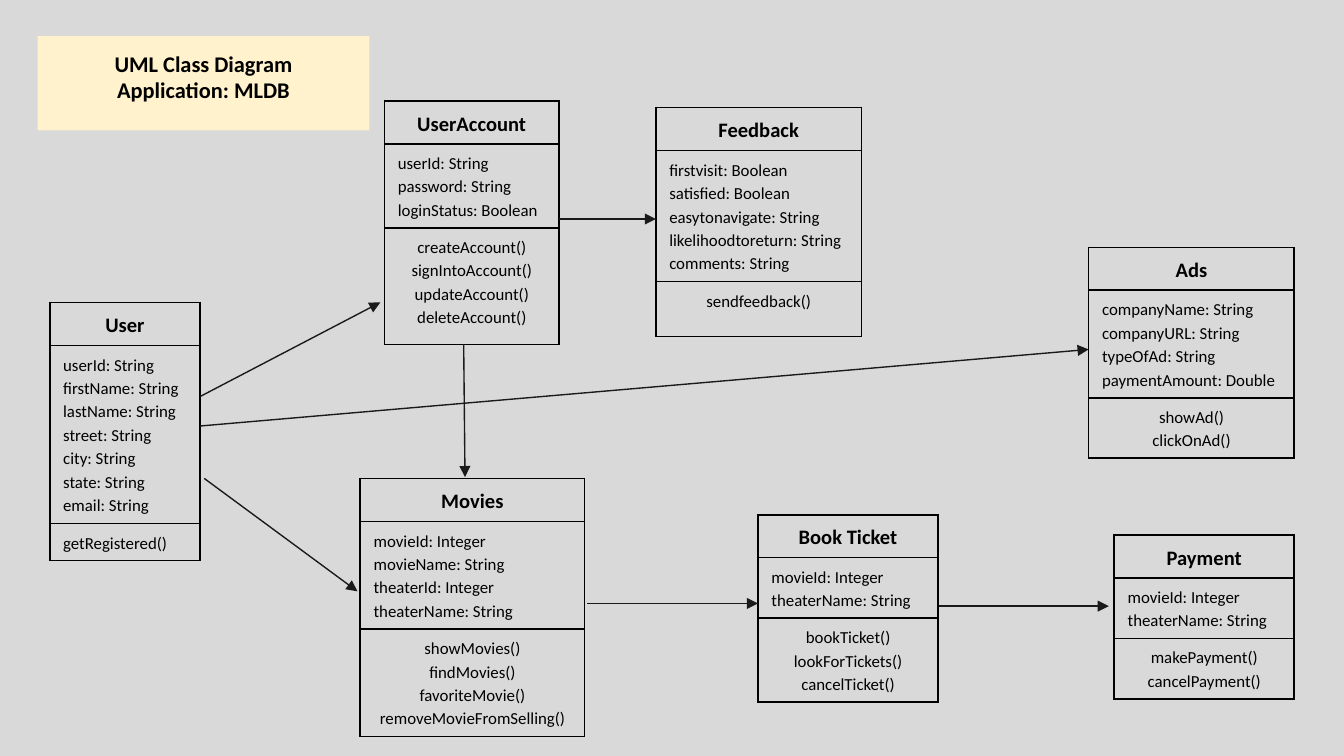
"""Build a UML class diagram slide for a movie booking application."""
from dataclasses import dataclass

from lxml.etree import SubElement
from pptx import Presentation
from pptx.dml.color import RGBColor as Rgb
from pptx.enum.shapes import MSO_CONNECTOR as Connector, MSO_SHAPE as Shape
from pptx.enum.text import MSO_ANCHOR as Anchor, PP_ALIGN as Align
from pptx.oxml import parse_xml
from pptx.oxml.ns import nsdecls, qn
from pptx.util import Inches, Pt


@dataclass(frozen=True)
class Theme:
    font: str = "Calibri"
    background: str = "D9D9D9"
    banner: str = "FFF2CC"
    ink: str = "000000"
    arrow: str = "1A1A1A"
    title_size: float = 12
    name_size: float = 11
    member_size: float = 9
    border: float = 1
    arrow_width: float = 0.75
    spacing: float = 1.15


THEME = Theme()
COLUMNS = 1000
NAME_ROWS, MEMBER_ROWS, PADDING_ROWS = 32, 17.5, 10

TITLE = ["UML Class Diagram", "Application: MLDB"]
TITLE_AREA = (28, 27, 247, 70)

CLASSES = [
    dict(name="UserAccount", at=(286, 75), width=130, least=87,
         attributes=["userId: String", "password: String", "loginStatus: Boolean"],
         operations=["createAccount()", "signIntoAccount()", "updateAccount()",
                     "deleteAccount()"]),
    dict(name="Movies", at=(268, 356), width=167,
         attributes=["movieId: Integer", "movieName: String", "theaterId: Integer",
                     "theaterName: String"],
         operations=["showMovies()", "findMovies()", "favoriteMovie()",
                     "removeMovieFromSelling()"]),
    dict(name="User", at=(37, 225), width=112, align=Align.LEFT,
         attributes=["userId: String", "firstName: String", "lastName: String",
                     "street: String", "city: String", "state: String", "email: String"],
         operations=["getRegistered()"]),
    dict(name="Book Ticket", at=(564, 383), width=134,
         attributes=["movieId: Integer", "theaterName: String"],
         operations=["bookTicket()", "lookForTickets()", "cancelTicket()"]),
    dict(name="Payment", at=(829, 398), width=134,
         attributes=["movieId: Integer", "theaterName: String"],
         operations=["makePayment()", "cancelPayment()"]),
    dict(name="Feedback", at=(488, 80), width=153, least=41,
         attributes=["firstvisit: Boolean", "satisfied: Boolean", "easytonavigate: String",
                     "likelihoodtoreturn: String", "comments: String"],
         operations=["sendfeedback()"]),
    dict(name="Ads", at=(810, 184), width=153,
         attributes=["companyName: String", "companyURL: String", "typeOfAd: String",
                     "paymentAmount: Double"],
         operations=["showAd()", "clickOnAd()"]),
]

ASSOCIATIONS = [
    ((345, 256), (346, 355)),
    ((149, 295), (283, 225)),
    ((152, 356), (266, 440)),
    ((437, 449), (564, 449)),
    ((699, 451), (825, 451)),
    ((416, 163), (488, 163)),
    ((149, 317), (810, 260)),
]

deck = Presentation()
deck.slide_width = Inches(10)
deck.slide_height = deck.slide_width * 9 // 16
slide = deck.slides.add_slide(deck.slide_layouts[6])
slide.background.fill.solid()
slide.background.fill.fore_color.rgb = Rgb.from_string(THEME.background)


def grid(*steps):
    return [round(deck.slide_width * step / COLUMNS) for step in steps]


def write(frame, lines, size, align, bold=False, spacing=None):
    frame.text = "\n".join(lines)
    for paragraph in frame.paragraphs:
        paragraph.alignment, paragraph.line_spacing = align, spacing
        font = paragraph.font
        font.name, font.size, font.bold = THEME.font, Pt(size), bold
        font.color.rgb = Rgb.from_string(THEME.ink)


def outline(cell):
    properties = cell._tc.get_or_add_tcPr()
    for order, side in enumerate(("lnL", "lnR", "lnT", "lnB")):
        properties.insert(order, parse_xml(
            f'<a:{side} {nsdecls("a")} w="{Pt(THEME.border)}"><a:solidFill>'
            f'<a:srgbClr val="{THEME.ink}"/></a:solidFill></a:{side}>'))


def add_title():
    banner = slide.shapes.add_shape(Shape.RECTANGLE, *grid(*TITLE_AREA))
    banner.shadow.inherit = False
    banner.fill.solid()
    banner.fill.fore_color.rgb = Rgb.from_string(THEME.banner)
    banner.line.fill.background()
    frame = banner.text_frame
    frame.vertical_anchor = Anchor.TOP
    frame.margin_top = frame.margin_bottom = Inches(0.1)
    write(frame, TITLE, THEME.title_size, Align.CENTER, bold=True)


def add_class(name, at, width, attributes, operations, least=0, align=Align.CENTER):
    sections = [
        ([name], THEME.name_size, Align.CENTER, True),
        (attributes, THEME.member_size, Align.LEFT, False),
        (operations, THEME.member_size, align, False),
    ]
    heights = [NAME_ROWS, PADDING_ROWS + MEMBER_ROWS * len(attributes),
               max(least, PADDING_ROWS + MEMBER_ROWS * len(operations))]
    table = slide.shapes.add_table(len(sections), 1, *grid(*at, width, sum(heights))).table
    table.first_row = table.horz_banding = False
    for row, height, section in zip(table.rows, grid(*heights), sections):
        row.height = height
        cell = row.cells[0]
        cell.fill.background()
        outline(cell)
        write(cell.text_frame, *section, spacing=THEME.spacing)


def add_association(start, end):
    arrow = slide.shapes.add_connector(Connector.STRAIGHT, *grid(*start, *end))
    arrow.line.color.rgb = Rgb.from_string(THEME.arrow)
    arrow.line.width = Pt(THEME.arrow_width)
    SubElement(arrow.line._get_or_add_ln(), qn("a:tailEnd"), type="triangle", w="med", len="med")
    SubElement(arrow._element.spPr, qn("a:effectLst"))


add_title()
for uml_class in CLASSES:
    add_class(**uml_class)
for association in ASSOCIATIONS:
    add_association(*association)
deck.save("out.pptx")
